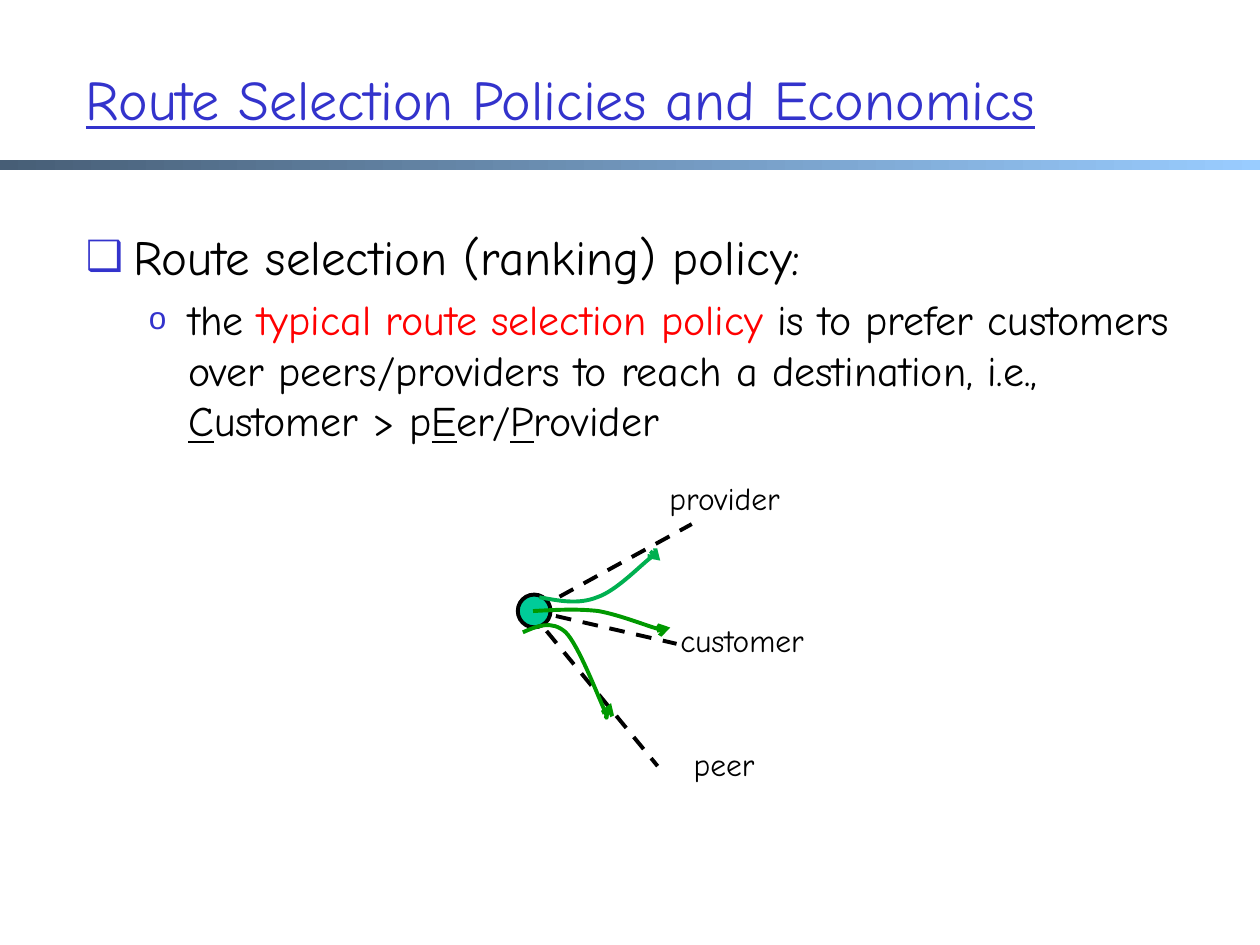
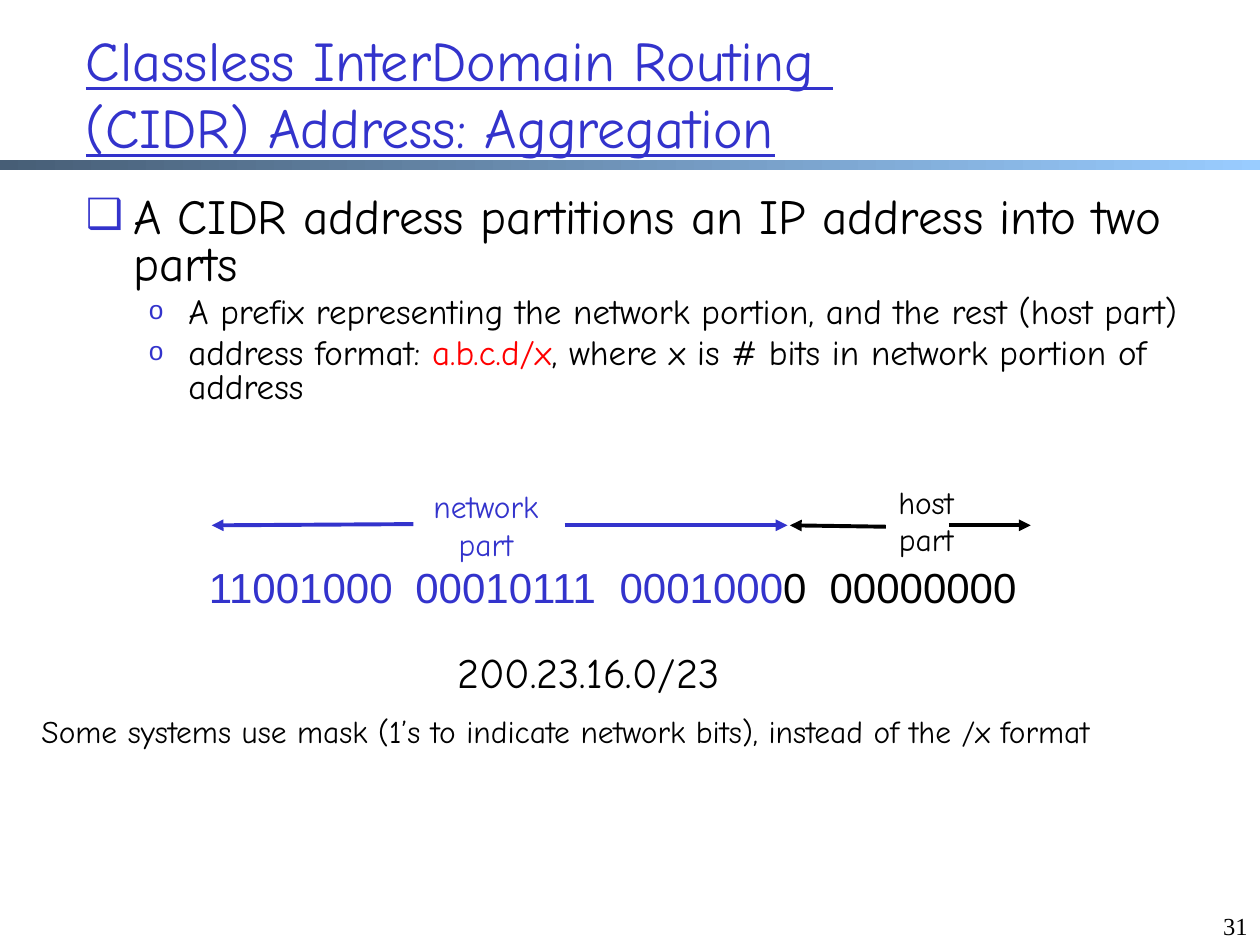
from lxml.etree import SubElement
from pptx import Presentation
from pptx.dml.color import RGBColor
from pptx.enum.dml import MSO_LINE
from pptx.enum.shapes import MSO_CONNECTOR, MSO_SHAPE
from pptx.enum.text import MSO_ANCHOR, PP_ALIGN
from pptx.oxml.ns import qn
from pptx.util import Pt

COLORS = {
    "title": "3333CC",
    "text": "000000",
    "accent": "FF0000",
    "band_start": "475E76",
    "band_end": "99CCFF",
    "router": "00CC99",
    "route": "009900",
    "provider_route": "00B050",
}
FONT = "Comic Neue"
LINE_WIDTH = 2.25
BULLETS = [("❑", 85, 27, -27), ("o", 75, 58.5, -22.5)]


def color(name):
    return RGBColor.from_string(COLORS[name])


def add_bullet(para, level):
    char, size, margin, indent = BULLETS[level]
    para.level = level
    props = para._p.get_or_add_pPr()
    props.set("marL", str(Pt(margin)))
    props.set("indent", str(Pt(indent)))
    SubElement(SubElement(props, qn("a:buClr")), qn("a:srgbClr"), val=COLORS["title"])
    SubElement(props, qn("a:buSzPct"), val=str(size * 1000))
    SubElement(props, qn("a:buFont"), typeface="Arial")
    SubElement(props, qn("a:buChar"), char=char)


def add_tabs(para, stops):
    tabs = SubElement(para._p.get_or_add_pPr(), qn("a:tabLst"))
    for stop in stops:
        SubElement(tabs, qn("a:tab"), pos=str(Pt(stop)), algn="l")


def write_spans(para, content, size=18, fill="text", font=FONT, underline=False):
    spans = [(content, {})] if isinstance(content, str) else content
    for text, changes in spans:
        for index, line in enumerate(text.split("\n")):
            if index:
                para.add_line_break()
            span = para.add_run()
            span.text = line
            span.font.name = font
            span.font.size = Pt(size)
            span.font.color.rgb = color(changes.get("fill", fill))
            span.font.underline = changes.get("underline", underline)


def add_text(page, place, lines, align=PP_ALIGN.LEFT, anchor=MSO_ANCHOR.TOP,
             wrap=True, tabs=(), **style):
    box = page.shapes.add_textbox(*map(Pt, place))
    frame = box.text_frame
    frame.word_wrap = wrap
    frame.vertical_anchor = anchor
    for index, line in enumerate(lines):
        para = frame.paragraphs[0] if index == 0 else frame.add_paragraph()
        para.alignment = align
        if tabs:
            add_tabs(para, tabs)
        write_spans(para, line, **style)


def add_label(page, place, *lines, **style):
    add_text(page, place, lines, align=PP_ALIGN.CENTER, wrap=False, **style)


def add_body(page, place, items, spacing=1.0):
    box = page.shapes.add_textbox(*map(Pt, place))
    frame = box.text_frame
    frame.word_wrap = True
    for index, (level, size, content) in enumerate(items):
        para = frame.paragraphs[0] if index == 0 else frame.add_paragraph()
        add_bullet(para, level)
        para.line_spacing = spacing
        if index:
            para.space_before = Pt(size * 0.2)
        write_spans(para, content, size=size)


def add_page(deck, title, title_top):
    page = deck.slides.add_slide(deck.slide_layouts[6])
    band = page.shapes.add_shape(MSO_SHAPE.RECTANGLE, 0, Pt(91.4), deck.slide_width, Pt(5.8))
    band.shadow.inherit = False
    band.line.fill.background()
    band.fill.gradient()
    band.fill.gradient_angle = 0
    for stop, name in zip(band.fill.gradient_stops, ("band_start", "band_end")):
        stop.color.rgb = color(name)
    add_text(page, (42, title_top, 632, 90), [title], anchor=MSO_ANCHOR.MIDDLE,
             size=32, fill="title", underline=True)
    return page


def style_line(line, name, arrow=None):
    line.color.rgb = color(name)
    line.width = Pt(LINE_WIDTH)
    if arrow:
        SubElement(line._get_or_add_ln(), qn("a:tailEnd"), type=arrow)


def add_line(page, start, end, name="text", dashed=False, arrow=None):
    link = page.shapes.add_connector(MSO_CONNECTOR.STRAIGHT, *map(Pt, (*start, *end)))
    if dashed:
        link.line.dash_style = MSO_LINE.DASH
    style_line(link.line, name, arrow)
    SubElement(link._element.spPr, qn("a:effectLst"))


def add_curve(page, points, name):
    start, *rest = [(Pt(x), Pt(y)) for x, y in points]
    builder = page.shapes.build_freeform(*start)
    builder.add_line_segments(rest, close=False)
    curve = builder.convert_to_shape()
    outline = curve._element.spPr.find(".//" + qn("a:path"))
    segments = outline.findall(qn("a:lnTo"))
    for first in range(0, len(segments), 3):
        bezier = SubElement(outline, qn("a:cubicBezTo"))
        for segment in segments[first:first + 3]:
            bezier.append(segment[0])
            outline.remove(segment)
    curve.shadow.inherit = False
    curve.fill.background()
    style_line(curve.line, name, "arrow")


def add_router(page, left, top, size):
    router = page.shapes.add_shape(MSO_SHAPE.OVAL, *map(Pt, (left, top, size, size)))
    router.shadow.inherit = False
    router.fill.solid()
    router.fill.fore_color.rgb = color("router")
    style_line(router.line, "text")


def build_policies(deck):
    page = add_page(deck, "Route Selection Policies and Economics", 11)
    initial = {"underline": True}
    add_body(page, (42, 126, 634, 382), [
        (0, 28, "Route selection (ranking) policy:"),
        (1, 24, [
            ("the ", {}),
            ("typical route selection policy", {"fill": "accent"}),
            (" is to prefer customers over peers/providers to reach a destination, i.e., ", {}),
            ("C", initial), ("ustomer > p", {}), ("E", initial), ("er/", {}),
            ("P", initial), ("rovider", {}),
        ]),
    ])
    neighbors = [
        ("provider", (371.5, 270, 85, 29), (306, 348.5), (395.3, 299.5)),
        ("customer", (378, 351.4, 92, 29), (302.4, 348.5), (386.6, 367.9)),
        ("peer", (387.4, 422, 52.6, 29), (302.4, 348.5), (375.8, 437.8)),
    ]
    for name, place, start, end in neighbors:
        add_line(page, start, end, dashed=True)
        add_label(page, place, name)
    add_router(page, 295.9, 339.8, 18.7)
    routes = [
        ("route", [(304.6, 349.2), (317.5, 348.5), (329.8, 347.8), (342, 349.2),
                   (354.2, 351.4), (370, 357.8), (375.8, 359.3),
                   (382.3, 361.4), (377.3, 360.7), (378.7, 360.7),
                   (380.2, 360.7), (380.2, 359.3), (383, 358.6)]),
        ("provider_route", [(308.2, 341.3), (319.7, 343.4), (330.5, 345.6), (341.3, 341.3),
                            (352.1, 337.7), (365.8, 323.3), (371.5, 319),
                            (376.6, 314.6), (372.2, 316.1), (373.7, 316.1),
                            (374.4, 316.8), (375.1, 318.2), (377.3, 320.4)]),
        ("route", [(298.8, 361.4), (306.7, 357.8), (315.4, 354.2), (323.3, 361.4),
                   (330.5, 368.6), (341.3, 396.7), (344.9, 404.6),
                   (348.5, 412.6), (345.6, 409.7), (346.3, 409.7),
                   (347, 409), (347.8, 405.4), (349.2, 401.8)]),
    ]
    for name, points in routes:
        add_curve(page, points, name)


def build_cidr(deck):
    page = add_page(deck, "Classless InterDomain Routing \n(CIDR) Address: Aggregation", 8)
    add_text(page, (686, 517, 34, 23), ["31"], align=PP_ALIGN.RIGHT,
             size=14, font="Times New Roman")
    add_body(page, (42, 109, 639, 138), [
        (0, 28, "A CIDR address partitions an IP address into two parts"),
        (1, 20, "A prefix representing the network portion, and the rest (host part)"),
        (1, 20, [
            ("address format: ", {}),
            ("a.b.c.d/x", {"fill": "accent"}),
            (", where x is # bits in network portion of address", {}),
        ]),
    ], spacing=0.8)
    add_text(page, (112.3, 317.5, 482.4, 36),
             [[("11001000\t00010111\t0001000", {"fill": "title"}), ("0\t00000000", {})]],
             tabs=(118, 234.7, 354.7), size=24, font="Arial")
    add_label(page, (236.2, 275, 82.8, 50.4), "network", "part", fill="title")
    add_label(page, (503.3, 272.2, 51.8, 50.4), "host", "part")
    arrows = [
        ((322.6, 300.2), (450, 300.2), "title"),
        ((236.2, 299.5), (121, 300.2), "title"),
        ((506.2, 301), (451.4, 300.2), "text"),
        ((542.2, 300.2), (589, 300.2), "text"),
    ]
    for start, end, name in arrows:
        add_line(page, start, end, name, arrow="triangle")
    add_text(page, (254.2, 365.8, 187.2, 36), ["200.23.16.0/23"], size=24)
    add_text(page, (16.6, 403.2, 686.2, 28.8),
             ["Some systems use mask (1’s to indicate network bits), instead of the /x format"])


def main():
    deck = Presentation()
    deck.slide_width = Pt(720)
    deck.slide_height = Pt(540)
    build_policies(deck)
    build_cidr(deck)
    deck.save("out.pptx")


if __name__ == "__main__":
    main()
